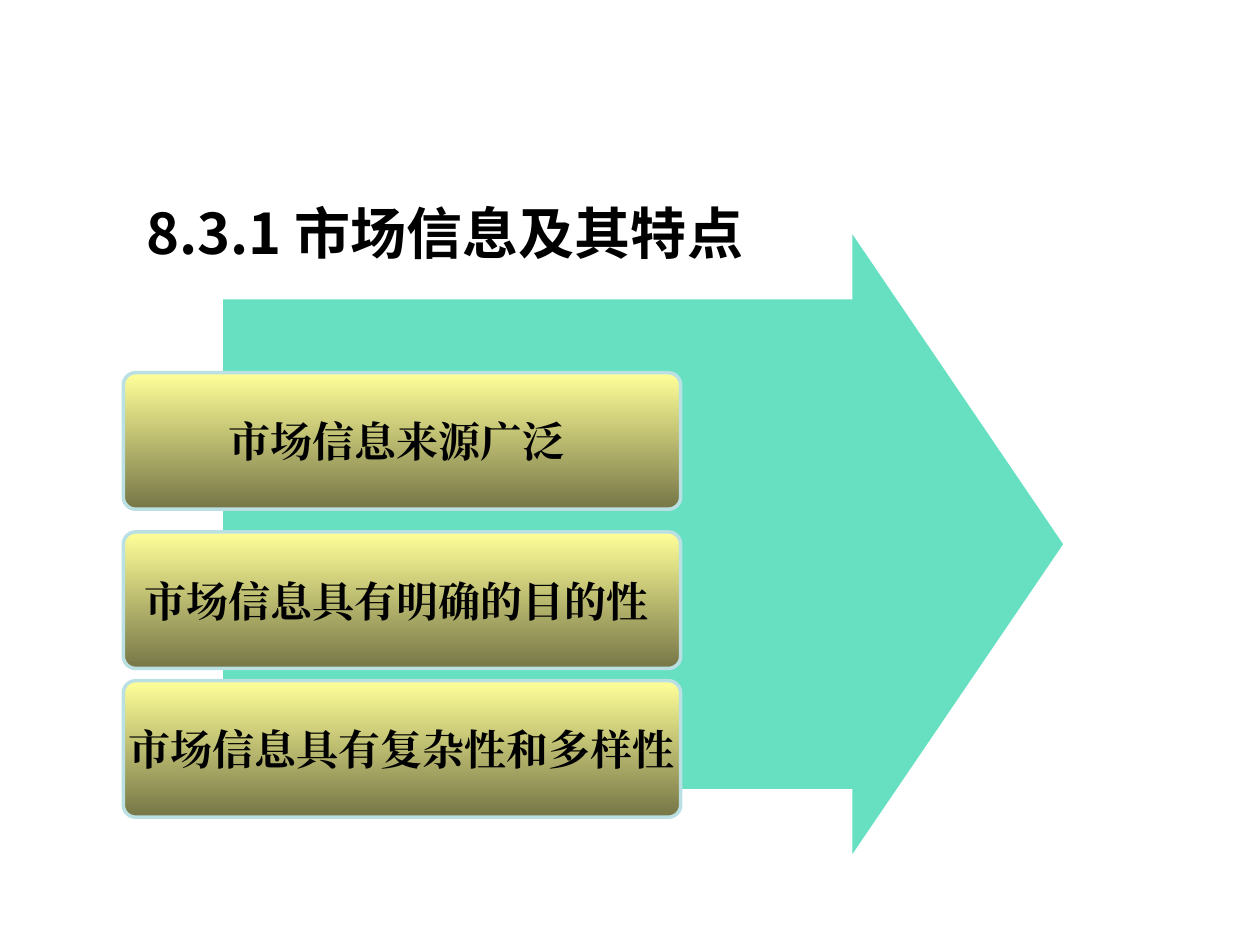
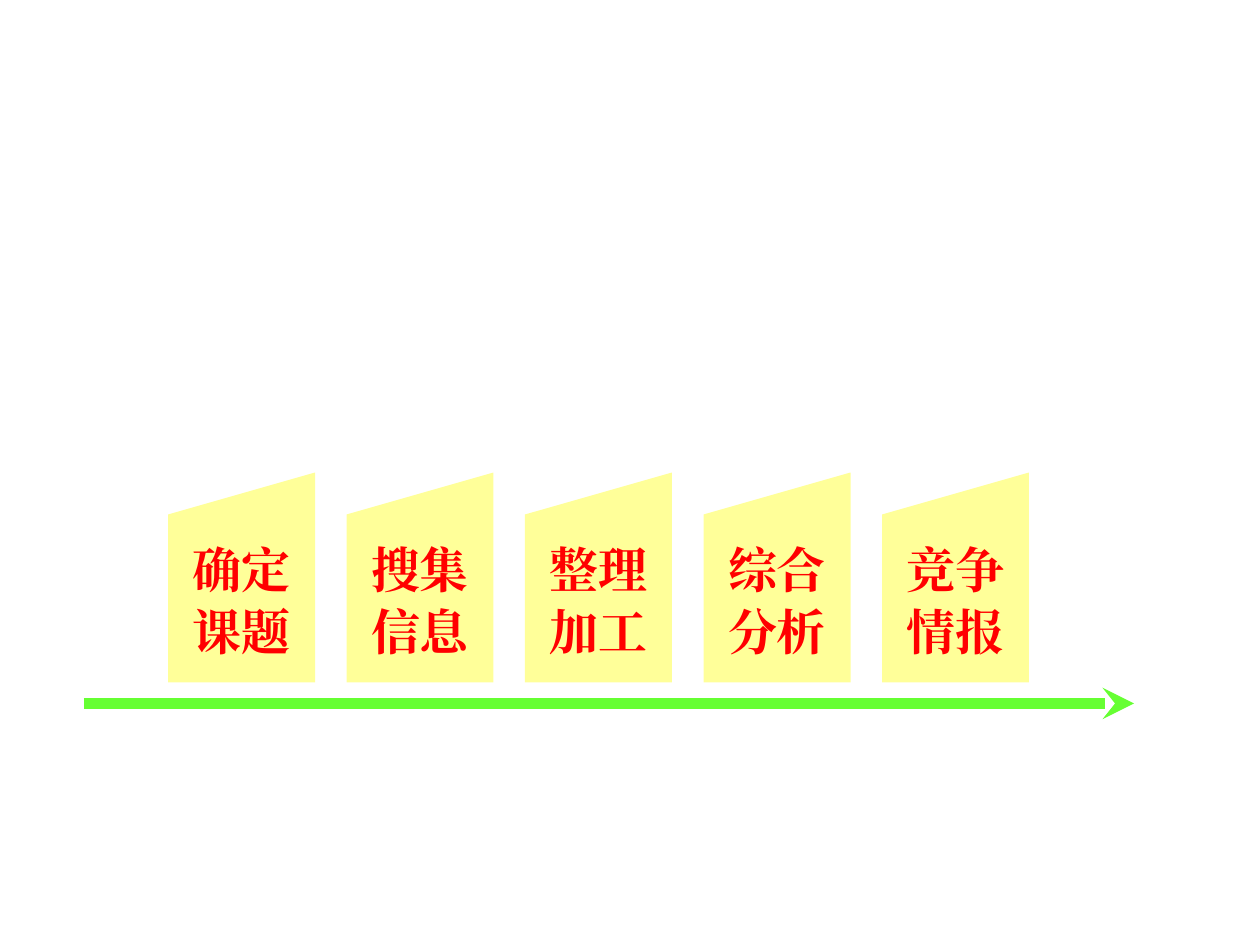
from lxml.etree import SubElement
from pptx import Presentation
from pptx.dml.color import RGBColor
from pptx.enum.shapes import MSO_CONNECTOR, MSO_SHAPE
from pptx.enum.text import MSO_ANCHOR, MSO_AUTO_SIZE, PP_ALIGN
from pptx.oxml.ns import qn
from pptx.util import Pt

COLORS = {
    "text": "000000",
    "stage_text": "FF0000",
    "yellow": "FFFF99",
    "olive": "767647",
    "card_line": "BBE0E3",
    "teal": "00CC99",
    "green": "66FF33",
}
TITLE_FORMAT = {"name": "Noto Sans CJK SC", "size": Pt(32), "bold": True}
CARD_FORMAT = {"name": "Times New Roman", "size": Pt(24), "bold": True}
STAGE_FORMAT = CARD_FORMAT | {"size": Pt(28)}

TITLE = "8.3.1 市场信息及其特点"
FEATURES = [
    (213, "市场信息来源广泛 "),
    (304, "市场信息具有明确的目的性 "),
    (389, "市场信息具有复杂性和多样性"),
]
STAGES = ["确定\n课题", "搜集\n信息", "整理\n加工", "综合\n分析", "竞争\n情报"]
STAGE_LEFT, STAGE_STEP = 96, 102


def color(name):
    return RGBColor.from_string(COLORS[name])


def write_text(shape, text, font_format, color_name, alignment, line_spacing=1.0):
    frame = shape.text_frame
    frame.text = text
    for paragraph in frame.paragraphs:
        paragraph.alignment = alignment
        paragraph.line_spacing = line_spacing
        paragraph.space_before = Pt(0)
        for run in paragraph.runs:
            for attribute, value in font_format.items():
                setattr(run.font, attribute, value)
            run.font.color.rgb = color(color_name)
            properties = run._r.get_or_add_rPr()
            SubElement(properties, qn("a:ea"), typeface=font_format["name"])


def add_plain_shape(slide, kind, left, top, width, height):
    """Add a preset shape without shadow or outline, its text centred and unwrapped."""
    shape = slide.shapes.add_shape(kind, Pt(left), Pt(top), Pt(width), Pt(height))
    shape.shadow.inherit = False
    shape.line.fill.background()
    shape.text_frame.word_wrap = False
    shape.text_frame.vertical_anchor = MSO_ANCHOR.MIDDLE
    return shape


def set_solid_fill(shape, color_name):
    shape.fill.solid()
    shape.fill.fore_color.rgb = color(color_name)


def set_title(slide, text):
    title = slide.shapes.title
    place = {"left": Pt(76.5), "top": Pt(100), "width": Pt(528), "height": Pt(55.5)}
    for attribute, value in place.items():
        setattr(title, attribute, value)
    title.text_frame.auto_size = MSO_AUTO_SIZE.NONE
    title.text_frame.vertical_anchor = MSO_ANCHOR.BOTTOM
    write_text(title, text, TITLE_FORMAT, "text", PP_ALIGN.LEFT)


def add_background_arrow(slide):
    arrow = add_plain_shape(slide, MSO_SHAPE.RIGHT_ARROW, 127.5, 134, 480, 354)
    arrow.adjustments[0] = 0.79
    arrow.adjustments[1] = 0.34
    set_solid_fill(arrow, "teal")
    fill_color = arrow._element.spPr.find(qn("a:solidFill")).find(qn("a:srgbClr"))
    SubElement(fill_color, qn("a:alpha"), val="60000")


def add_feature_card(slide, top, text):
    card = add_plain_shape(slide, MSO_SHAPE.ROUNDED_RECTANGLE, 70.5, top, 318.5, 78)
    card.adjustments[0] = 0.09
    card.fill.gradient()
    card.fill.gradient_angle = 270
    for position, (stop, name) in enumerate(zip(card.fill.gradient_stops, ("yellow", "olive"))):
        stop.position = position
        stop.color.rgb = color(name)
    card.line.color.rgb = color("card_line")
    card.line.width = Pt(2)
    write_text(card, text, CARD_FORMAT, "text", PP_ALIGN.CENTER)


def add_stage(slide, left, text):
    stage = add_plain_shape(slide, MSO_SHAPE.FLOWCHART_MANUAL_INPUT, left, 270, 84, 120)
    set_solid_fill(stage, "yellow")
    write_text(stage, text, STAGE_FORMAT, "stage_text", PP_ALIGN.CENTER, 1.05)


def add_timeline(slide, start, end, y):
    timeline = slide.shapes.add_connector(
        MSO_CONNECTOR.STRAIGHT, Pt(start), Pt(y), Pt(end), Pt(y))
    timeline.line.color.rgb = color("green")
    timeline.line.width = Pt(6)
    SubElement(timeline.line._get_or_add_ln(), qn("a:tailEnd"), type="stealth")
    SubElement(timeline._element.spPr, qn("a:effectLst"))


def main():
    presentation = Presentation()
    presentation.slide_width, presentation.slide_height = Pt(720), Pt(540)
    title_layout, blank_layout = presentation.slide_layouts[5], presentation.slide_layouts[6]

    features_slide = presentation.slides.add_slide(title_layout)
    set_title(features_slide, TITLE)
    add_background_arrow(features_slide)
    for top, text in FEATURES:
        add_feature_card(features_slide, top, text)

    process_slide = presentation.slides.add_slide(blank_layout)
    for index, text in enumerate(STAGES):
        add_stage(process_slide, STAGE_LEFT + index * STAGE_STEP, text)
    add_timeline(process_slide, 48, 648, 402)

    presentation.save("out.pptx")


if __name__ == "__main__":
    main()
